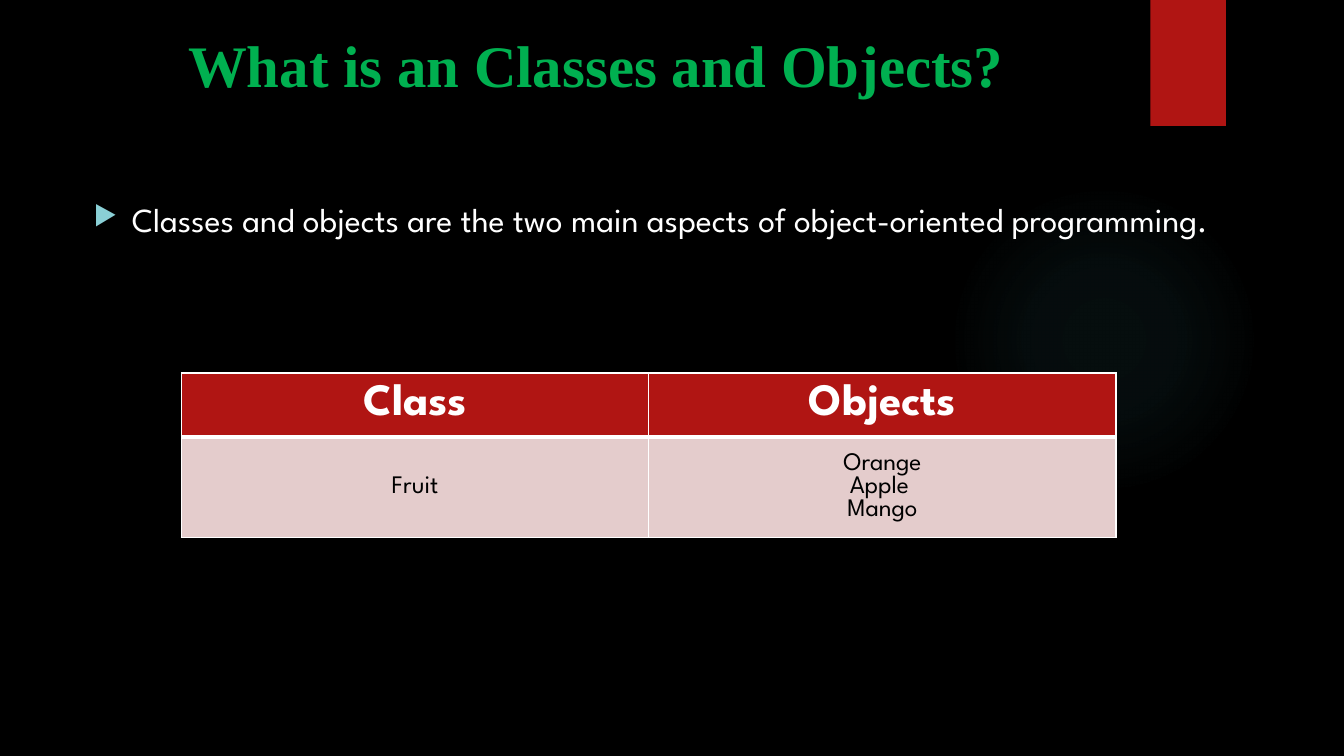
"""Build the slide that introduces classes and objects."""
from dataclasses import dataclass

from pptx import Presentation
from pptx import util as u
from pptx.dml.color import RGBColor
from pptx.enum import shapes, text
from pptx.oxml import parse_xml
from pptx.oxml.ns import nsdecls, qn


@dataclass(frozen=True)
class Theme:
    black: str = "000000"
    white: str = "FFFFFF"
    red: str = "B01513"
    pink: str = "E4CCCC"
    green: str = "00B050"
    teal: str = "50B9C1"
    bullet: str = "8AD0D6"
    title_font: str = "Times New Roman"
    body_font: str = "League Spartan"
    title_size: int = 42
    header_size: int = 32
    body_size: int = 24
    cell_size: int = 18


class SlideBuilder:
    def __init__(self, slide, theme):
        self.slide, self.theme = slide, theme

    def background(self):
        fill = self.slide.background.fill
        fill.solid()
        fill.fore_color.rgb = RGBColor.from_string(self.theme.black)

    def shape(self, kind, left, top, width, height, color):
        shape = self.slide.shapes.add_shape(
            kind, *map(u.Inches, (left, top, width, height)))
        shape.shadow.inherit = False
        shape.line.fill.background()
        shape.fill.solid()
        shape.fill.fore_color.rgb = RGBColor.from_string(color)
        return shape

    def glow(self, left, top, size, color, stops):
        shape = self.shape(shapes.MSO_SHAPE.OVAL, left, top, size, size, color)
        stop_list = "".join(
            f'<a:gs pos="{position * 1000}"><a:srgbClr val="{color}">'
            f'<a:alpha val="{alpha * 1000}"/></a:srgbClr></a:gs>'
            for position, alpha in stops)
        gradient = parse_xml(
            f'<a:gradFill {nsdecls("a")}><a:gsLst>{stop_list}</a:gsLst>'
            '<a:path path="circle"><a:fillToRect l="50000" t="50000" '
            'r="50000" b="50000"/></a:path></a:gradFill>')
        properties = shape.element.spPr
        properties.replace(properties.find(qn("a:solidFill")), gradient)

    def add_text(self, paragraph, words, font, size, color, bold=False):
        run = paragraph.add_run()
        run.text = words
        run.font.name, run.font.size, run.font.bold = font, u.Pt(size), bold
        run.font.color.rgb = RGBColor.from_string(color)

    def text_box(self, left, top, width, height, margin_top=0.05):
        box = self.slide.shapes.add_textbox(
            *map(u.Inches, (left, top, width, height)))
        box.text_frame.word_wrap = True
        box.text_frame.margin_top = u.Inches(margin_top)
        return box.text_frame.paragraphs[0]

    def title(self, words, *place):
        paragraph = self.text_box(*place, margin_top=0.11)
        paragraph.alignment = text.PP_ALIGN.CENTER
        self.add_text(paragraph, words, self.theme.title_font,
                      self.theme.title_size, self.theme.green, True)

    def bullet(self, words, *place):
        paragraph = self.text_box(*place)
        paragraph.space_before = u.Pt(10)
        properties = paragraph._p.get_or_add_pPr()
        indent = u.Inches(0.38)
        properties.set("marL", str(indent))
        properties.set("indent", str(-indent))
        for markup in (
                f'<a:buClr {nsdecls("a")}><a:srgbClr val="{self.theme.bullet}"/></a:buClr>',
                f'<a:buSzPct {nsdecls("a")} val="80000"/>',
                f'<a:buChar {nsdecls("a")} char="\u25b6"/>'):
            properties.append(parse_xml(markup))
        self.add_text(paragraph, words, self.theme.body_font,
                      self.theme.body_size, self.theme.white)

    def cell(self, cell, lines, header):
        theme = self.theme
        widths = {"L": 1, "R": 1, "T": 1 if header else 3, "B": 3 if header else 1}
        properties = cell._tc.get_or_add_tcPr()
        for side, width in widths.items():
            properties.append(parse_xml(
                f'<a:ln{side} {nsdecls("a")} w="{u.Pt(width)}"><a:solidFill>'
                f'<a:srgbClr val="{theme.white}"/></a:solidFill></a:ln{side}>'))
        cell.fill.solid()
        cell.fill.fore_color.rgb = RGBColor.from_string(
            theme.red if header else theme.pink)
        cell.vertical_anchor = text.MSO_ANCHOR.MIDDLE
        size = theme.header_size if header else theme.cell_size
        color = theme.white if header else theme.black
        frame = cell.text_frame
        for index, line in enumerate(lines):
            paragraph = frame.add_paragraph() if index else frame.paragraphs[0]
            paragraph.alignment = text.PP_ALIGN.CENTER
            self.add_text(paragraph, line, theme.body_font, size, color, header)

    def table(self, rows, left, top, width, heights):
        table = self.slide.shapes.add_table(
            len(rows), len(rows[0]),
            *map(u.Inches, (left, top, width, sum(heights)))).table
        for row_index, row in enumerate(rows):
            table.rows[row_index].height = u.Inches(heights[row_index])
            for column_index, lines in enumerate(row):
                self.cell(table.cell(row_index, column_index), lines, row_index == 0)


presentation = Presentation()
presentation.slide_width, presentation.slide_height = u.Inches(13.33), u.Inches(7.5)
theme = Theme()
builder = SlideBuilder(
    presentation.slides.add_slide(presentation.slide_layouts[6]), theme)

builder.background()
builder.glow(9.41, 1.83, 3.08, theme.teal, [(0, 7), (36, 6), (69, 0)])
builder.shape(shapes.MSO_SHAPE.RECTANGLE, 11.41, 0, 0.75, 1.25, theme.red)
builder.title("What is an Classes and Objects?", 0.83, 0.18, 10.16, 1)
builder.bullet(
    "Classes and objects are the two main aspects of object-oriented programming.",
    0.83, 1.92, 11.34, 5.42)
builder.table(
    [[["Class"], ["Objects"]],
     [["Fruit"], ["Orange", "Apple ", "Mango"]]],
    1.8, 3.7, 9.27, [0.51, 0.79])

presentation.save("out.pptx")
